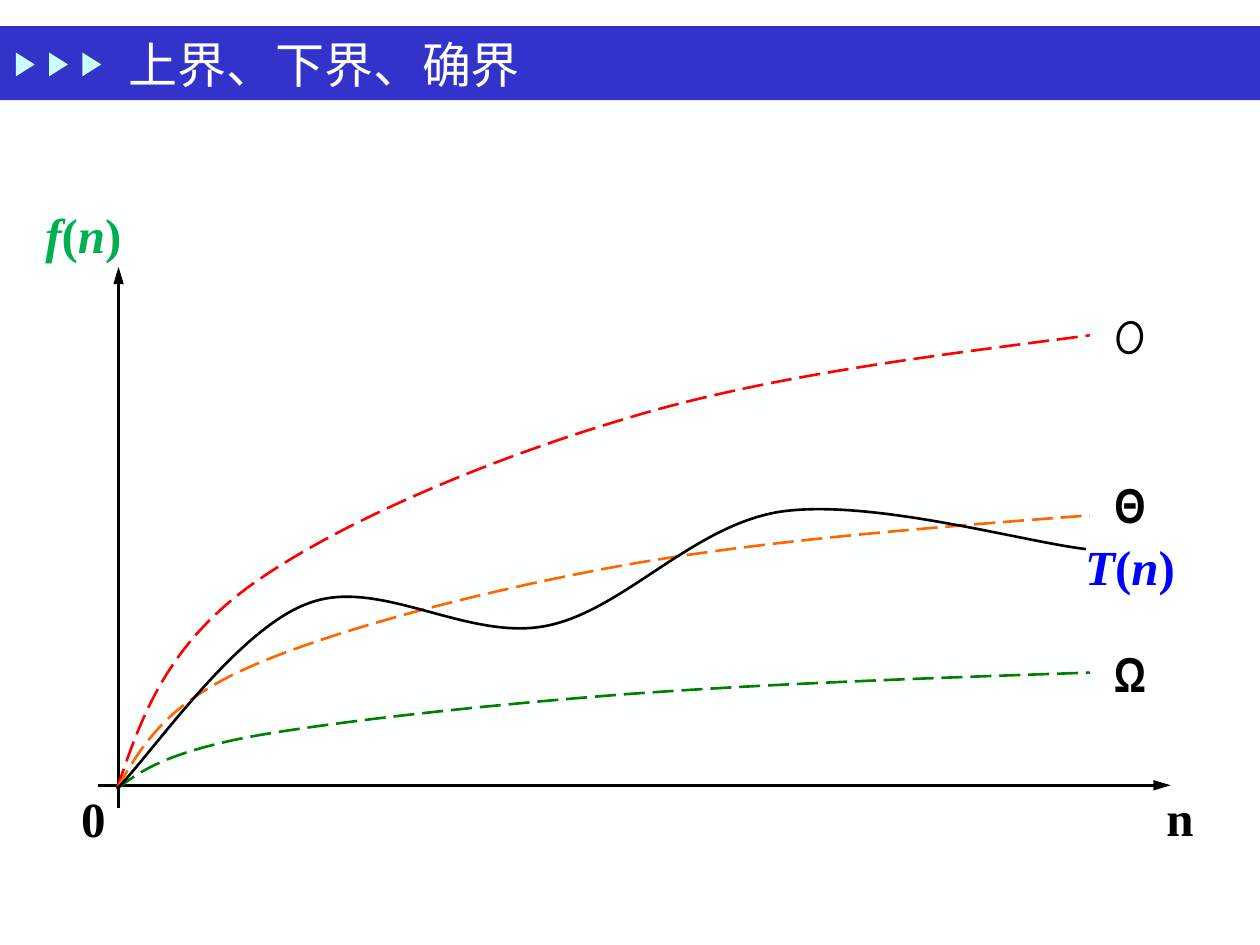
import pptx
import pptx.util
import pptx.dml.color
import pptx.enum.dml
import pptx.enum.shapes
import pptx.enum.text
import pptx.oxml
import pptx.oxml.ns

Cm = pptx.util.Cm
Pt = pptx.util.Pt
qn = pptx.oxml.ns.qn
shape_kinds = pptx.enum.shapes.MSO_SHAPE
SERIF = "Times New Roman"
LINE_WIDTH = Pt(1.5)


def color(hex_text):
    return pptx.dml.color.RGBColor.from_string(hex_text)


def add_text(left, top, width, height, spans, font_name, font_color, bold=False):
    """Add a one-line text box; spans are (text, italic) pairs."""
    box = slide.shapes.add_textbox(Cm(left), Cm(top), Cm(width), Cm(height))
    frame = box.text_frame
    frame.vertical_anchor = pptx.enum.text.MSO_ANCHOR.MIDDLE
    para = frame.paragraphs[0]
    para.font.name = font_name
    para.font.size = Pt(28)
    para.font.bold = bold
    para.font.color.rgb = color(font_color)
    for text, italic in spans:
        span = para.add_run()
        span.text = text
        span.font.italic = italic
    return frame


deck = pptx.Presentation()
deck.slide_width = Cm(25.4)
deck.slide_height = Cm(19.05)
slide = deck.slides.add_slide(deck.slide_layouts[6])
slide.background.fill.solid()
slide.background.fill.fore_color.rgb = color("FEFFFF")

# Title band with three arrowheads pointing right
decorations = [(shape_kinds.RECTANGLE, 0, 0.53, 25.4, 1.49, 0, "3333CC")]
for index in range(3):
    left = 0.27 + 0.67 * index
    decorations.append(
        (shape_kinds.ISOSCELES_TRIANGLE, left, 1.11, 0.48, 0.38, 90, "CBFFFF"))
for kind, left, top, width, height, rotation, fill in decorations:
    shape = slide.shapes.add_shape(kind, Cm(left), Cm(top), Cm(width), Cm(height))
    shape.rotation = rotation
    shape.shadow.inherit = False
    shape.fill.solid()
    shape.fill.fore_color.rgb = color(fill)
    shape.line.fill.background()

title = add_text(2.34, 0.66, 17.78, 1.27, [("上界、下界、确界", False)], SERIF, "FEFFFF")
title.word_wrap = True

# Axes: vertical, then horizontal
for start_x, start_y, end_x, end_y in [(2.39, 16.28, 2.39, 5.38),
                                       (1.98, 15.83, 23.6, 15.83)]:
    axis = slide.shapes.add_connector(
        pptx.enum.shapes.MSO_CONNECTOR.STRAIGHT,
        Cm(start_x), Cm(start_y), Cm(end_x), Cm(end_y))
    axis.line.color.rgb = color("000000")
    axis.line.width = LINE_WIDTH
    arrow = pptx.oxml.parse_xml(
        f'<a:tailEnd {pptx.oxml.ns.nsdecls("a")} type="triangle" len="lg"/>')
    axis._element.spPr.find(qn("a:ln")).append(arrow)
    axis._element.spPr.append(pptx.oxml.parse_xml(
        f'<a:effectLst {pptx.oxml.ns.nsdecls("a")}/>'))

# Curves: a start point, then three Bézier points for each segment
bound_x = [2.36, 2.84, 3.33, 5, 6.71, 9.73, 12.55, 15.37, 18.67, 21.97]
upper_y = [15.9, 14.48, 13.08, 11.84, 10.59, 9.3, 8.46, 7.59, 7.19, 6.76]
lower_y = [15.9, 15.54, 15.19, 14.86, 14.55, 14.22, 14, 13.79, 13.67, 13.56]
tight_y = [15.9, 15.06, 14.2, 13.46, 12.7, 11.91, 11.4, 10.9, 10.64, 10.39]
time_x = [2.36, 3, 4.75, 6.2, 7.62, 9.4, 11, 12.57, 13.97, 15.77, 17.6, 20.62, 21.89]
time_y = [15.9, 15.27, 12.7, 12.17, 11.61, 12.93, 12.62, 12.32, 10.57, 10.31,
          10.06, 10.92, 11.07]
curves = [
    (bound_x, upper_y, "FF0000", True),
    (bound_x, lower_y, "008000", True),
    (bound_x, tight_y, "FF6600", True),
    (time_x, time_y, "000000", False),
]
for xs, ys, line_color, dashed in curves:
    points = [(Cm(x), Cm(y)) for x, y in zip(xs, ys)]
    builder = slide.shapes.build_freeform(*points[0])
    builder.add_line_segments(points[1:], close=False)
    curve = builder.convert_to_shape()
    curve.shadow.inherit = False
    curve.fill.background()
    curve.line.color.rgb = color(line_color)
    curve.line.width = LINE_WIDTH
    if dashed:
        curve.line.dash_style = pptx.enum.dml.MSO_LINE.LONG_DASH
    # Merge every three straight steps into one cubic segment
    steps = list(curve._element.iter(qn("a:lnTo")))
    for first in range(0, len(steps), 3):
        bezier = pptx.oxml.parse_xml(
            f'<a:cubicBezTo {pptx.oxml.ns.nsdecls("a")}/>')
        steps[first].addprevious(bezier)
        for step in steps[first:first + 3]:
            bezier.append(step[0])
            step.getparent().remove(step)

# Labels for the curves and axes
labels = [
    (22.17, 6.3, 1.22, 0.91, [("O", False)], "Comic Neue", "000000", False),
    (22.17, 9.7, 1.22, 0.91, [("Θ", False)], "Arial Narrow", "000000", True),
    (22.17, 13.11, 1.22, 0.91, [("Ω", False)], "Arial Narrow", "000000", True),
    (21.63, 10.95, 2.3, 0.91,
     [("T", True), ("(", False), ("n", True), (")", False)], SERIF, "0000FF", True),
    (1.27, 16.03, 1.22, 0.91, [("0", False)], SERIF, "000000", True),
    (0.68, 4.14, 2, 1.17,
     [("f", True), ("(", False), ("n", True), (")", False)], SERIF, "00B050", True),
    (23.17, 16.02, 1.24, 0.91, [("n", False)], SERIF, "000000", True),
]
for label in labels:
    frame = add_text(*label)
    frame.word_wrap = False
    frame.margin_left = frame.margin_right = Cm(0.1)
    frame.margin_top = frame.margin_bottom = Cm(0.1)
    frame.paragraphs[0].alignment = pptx.enum.text.PP_ALIGN.CENTER

deck.save("out.pptx")
